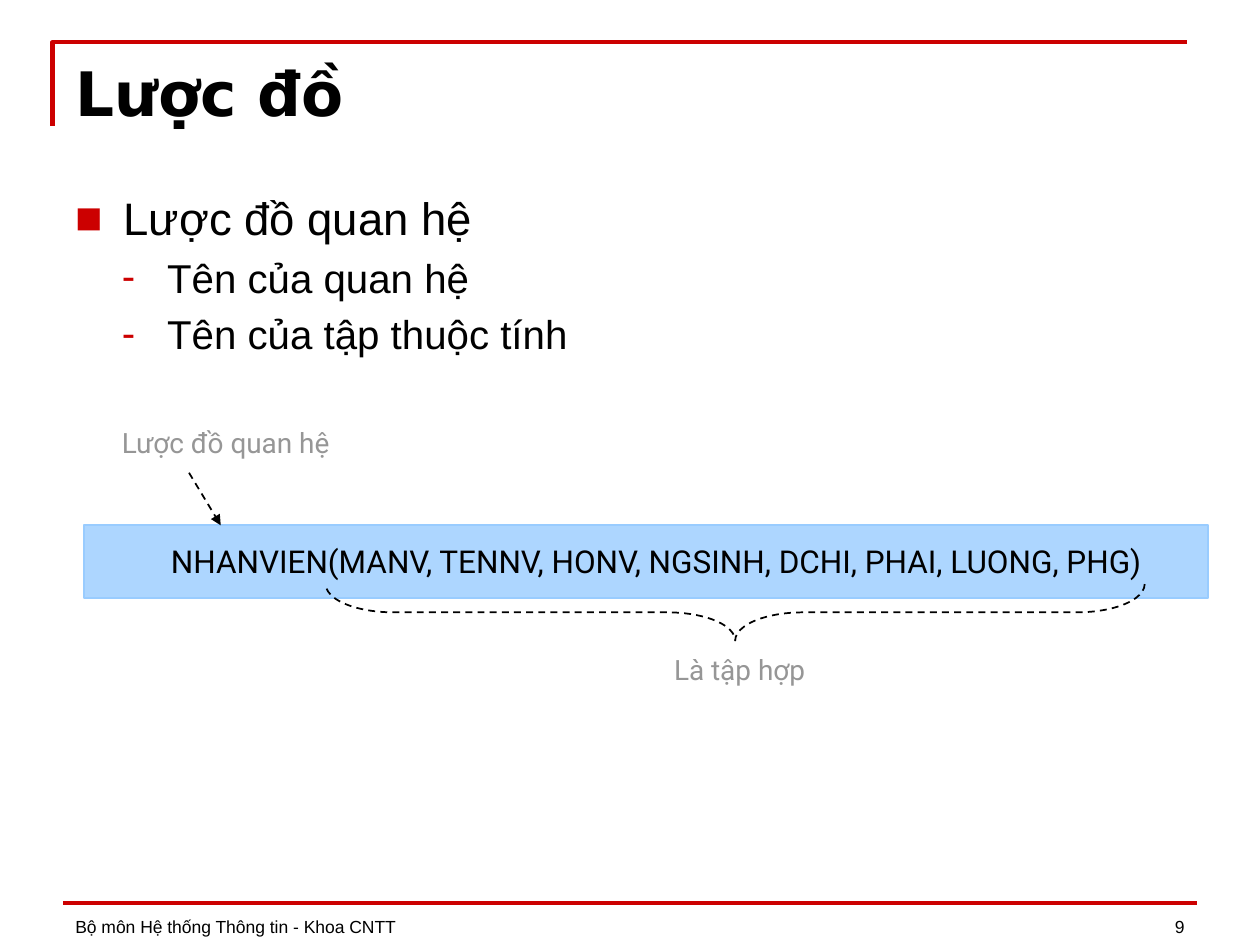
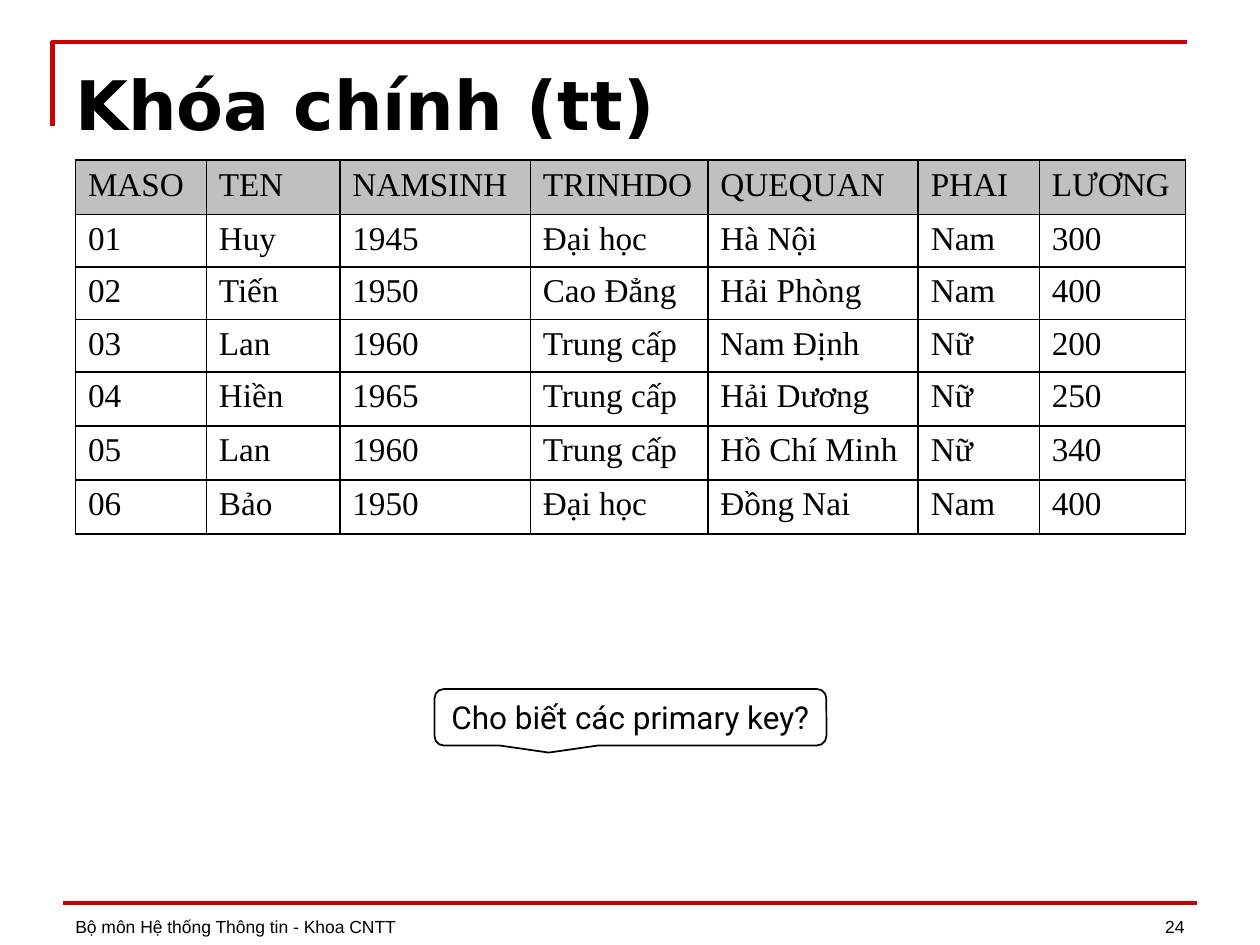
from dataclasses import dataclass

from pptx import Presentation
from pptx.dml.color import RGBColor
from pptx.enum.dml import MSO_LINE
from pptx.enum.shapes import MSO_CONNECTOR, MSO_SHAPE
from pptx.enum.text import MSO_ANCHOR as Anchor, MSO_AUTO_SIZE as AutoSize, PP_ALIGN as Align
from pptx.oxml import parse_xml
from pptx.oxml.ns import nsdecls, qn
from pptx.util import Cm, Pt


@dataclass(frozen=True)
class Theme:
    red: str = "CC0000"
    black: str = "000000"
    grey: str = "969696"
    blue: str = "99CCFF"
    header: str = "C0C0C0"
    title_font: str = "DejaVu Sans"
    body_font: str = "Arial"
    label_font: str = "Roboto"
    table_font: str = "Times New Roman"
    body_sizes: tuple = (26, 23)
    label: int = 16
    emphasis: int = 18
    table: int = 19
    footer: int = 10


THEME = Theme()

FOOTER = "Bộ môn Hệ thống Thông tin - Khoa CNTT"
SCHEMA = {"title": "Lược đồ", "title_size": 35, "title_height": 1.73, "number": "9"}
KEYS = {"title": "Khóa chính (tt)", "title_size": 39, "title_height": 2.18, "number": "24"}

SCHEMA_POINTS = [
    (0, "Lược đồ quan hệ"),
    (1, "Tên của quan hệ"),
    (1, "Tên của tập thuộc tính"),
]
BULLETS = [("■", 0.97, -0.97), ("-", 1.85, -0.91)]
RELATION = "NHANVIEN(MANV, TENNV, HONV, NGSINH, DCHI, PHAI, LUONG, PHG)"
SCHEMA_LABELS = [
    ("Lược đồ quan hệ", (0.64, 8.46, 7.82, 0.94)),
    ("Là tập hợp", (12.27, 13.03, 5.28, 0.94)),
]

EMPLOYEES = [
    ("MASO", "TEN", "NAMSINH", "TRINHDO", "QUEQUAN", "PHAI", "LƯƠNG"),
    ("01", "Huy", "1945", "Đại học", "Hà Nội", "Nam", "300"),
    ("02", "Tiến", "1950", "Cao Đẳng", "Hải Phòng", "Nam", "400"),
    ("03", "Lan", "1960", "Trung cấp", "Nam Định", "Nữ", "200"),
    ("04", "Hiền", "1965", "Trung cấp", "Hải Dương", "Nữ", "250"),
    ("05", "Lan", "1960", "Trung cấp", "Hồ Chí Minh", "Nữ", "340"),
    ("06", "Bảo", "1950", "Đại học", "Đồng Nai", "Nam", "400"),
]
COLUMN_WIDTHS = [2.64, 2.69, 3.84, 3.58, 4.24, 2.44, 2.95]
ROW_HEIGHTS = [1.09] + [0.89] * 3 + [1.09] * 3
QUESTION = "Cho biết các primary key?"


def lengths(box):
    return [Cm(value) for value in box]


def color(code):
    return RGBColor.from_string(code)


def write(paragraph, text, font, size, code=THEME.black, bold=False, align=Align.LEFT):
    paragraph.alignment = align
    run = paragraph.add_run()
    run.text = text
    run.font.name = font
    run.font.size = Pt(size)
    run.font.bold = bold
    run.font.color.rgb = color(code)


def add_text(slide, box, text, font, size, code=THEME.black, align=Align.CENTER, anchor=Anchor.TOP):
    frame = slide.shapes.add_textbox(*lengths(box)).text_frame
    frame.word_wrap = True
    frame.vertical_anchor = anchor
    write(frame.paragraphs[0], text, font, size, code, align=align)


def set_line(shape, code, width, dash=None):
    shape.line.color.rgb = color(code)
    shape.line.width = Pt(width)
    if dash:
        shape.line.dash_style = dash


def add_line(slide, ends, code, width, dash=None):
    line = slide.shapes.add_connector(MSO_CONNECTOR.STRAIGHT, *lengths(ends))
    set_line(line, code, width, dash)
    line._element.spPr.append(parse_xml(f"<a:effectLst {nsdecls('a')}/>"))
    return line


def add_outline(slide, kind, box, code, dash=None):
    shape = slide.shapes.add_shape(kind, *lengths(box))
    shape.shadow.inherit = False
    shape.fill.background()
    set_line(shape, code, 1, dash)
    return shape


def add_frame(slide):
    builder = slide.shapes.build_freeform(Cm(1.06), Cm(2.54))
    builder.add_line_segments([(Cm(1.06), Cm(0.85)), (Cm(23.92), Cm(0.85))], close=False)
    corner = builder.convert_to_shape()
    corner.shadow.inherit = False
    corner.fill.background()
    set_line(corner, THEME.red, 2.5)
    add_line(slide, (1.27, 18.2, 24.13, 18.2), THEME.red, 2)


def add_slide(presentation, content):
    slide = presentation.slides.add_slide(presentation.slide_layouts[5])
    add_frame(slide)
    title = slide.shapes.title
    title.left, title.top, title.width, title.height = lengths(
        (1.27, 0.99, 22.86, content["title_height"]))
    frame = title.text_frame
    frame.auto_size = AutoSize.NONE
    frame.vertical_anchor = Anchor.MIDDLE
    write(frame.paragraphs[0], content["title"], THEME.title_font, content["title_size"], bold=True)
    for text, left, width, align in [
        (FOOTER, 1.27, 15.44, Align.LEFT),
        (content["number"], 18.21, 5.92, Align.RIGHT),
    ]:
        add_text(slide, (left, 17.75, width, 1.27), text, THEME.body_font, THEME.footer,
                 align=align, anchor=Anchor.BOTTOM)
    return slide


def add_bullet(paragraph, level):
    mark, margin, indent = BULLETS[level]
    properties = paragraph._p.get_or_add_pPr()
    properties.set("marL", str(Cm(margin)))
    properties.set("indent", str(Cm(indent)))
    for xml in (
        f'<a:buClr {nsdecls("a")}><a:srgbClr val="{THEME.red}"/></a:buClr>',
        f'<a:buFont {nsdecls("a")} typeface="{THEME.body_font}"/>',
        f'<a:buChar {nsdecls("a")} char="{mark}"/>',
    ):
        properties.append(parse_xml(xml))


def add_points(slide):
    frame = slide.shapes.add_textbox(*lengths((1.27, 3.71, 22.86, 13.3))).text_frame
    frame.word_wrap = True
    for index, (level, text) in enumerate(SCHEMA_POINTS):
        paragraph = frame.add_paragraph() if index else frame.paragraphs[0]
        size = THEME.body_sizes[level]
        paragraph.level = level
        add_bullet(paragraph, level)
        if index:
            paragraph.space_before = Pt(size * 0.2)
        write(paragraph, text, THEME.body_font, size, align=Align.JUSTIFY)


def add_relation(slide):
    band = add_outline(slide, MSO_SHAPE.RECTANGLE, (1.7, 10.59, 22.66, 1.47), THEME.blue)
    band.fill.solid()
    band.fill.fore_color.rgb = color(THEME.blue)
    fill = band._element.spPr.find(qn("a:solidFill"))
    fill[0].append(parse_xml(f'<a:alpha {nsdecls("a")} val="80000"/>'))
    add_text(slide, (2.34, 10.8, 21.79, 1.02), RELATION, THEME.label_font, THEME.emphasis)

    arrow = add_line(slide, (3.81, 9.53, 4.45, 10.59), THEME.black, 1, MSO_LINE.DASH)
    arrow.line._get_or_add_ln().append(parse_xml(f'<a:tailEnd {nsdecls("a")} type="triangle"/>'))

    brace = add_outline(slide, MSO_SHAPE.RIGHT_BRACE, (14.25, 4.09, 1.14, 16.51),
                        THEME.black, MSO_LINE.DASH)
    brace.rotation = 90
    brace.adjustments[0] = 1.2
    brace.adjustments[1] = 0.5
    for text, box in SCHEMA_LABELS:
        add_text(slide, box, text, THEME.label_font, THEME.label, THEME.grey)


def add_borders(cell):
    properties = cell._tc.get_or_add_tcPr()
    for side in "LRTB":
        properties.append(parse_xml(
            f'<a:ln{side} {nsdecls("a")} w="{Pt(1)}"><a:solidFill>'
            f'<a:srgbClr val="{THEME.black}"/></a:solidFill></a:ln{side}>'))


def add_employees(slide):
    box = (1.52, 3.23, sum(COLUMN_WIDTHS), sum(ROW_HEIGHTS))
    table = slide.shapes.add_table(len(EMPLOYEES), len(COLUMN_WIDTHS), *lengths(box)).table
    table.first_row = False
    table.horz_banding = False
    for column, width in zip(table.columns, COLUMN_WIDTHS):
        column.width = Cm(width)
    for row_index, (row, height, values) in enumerate(zip(table.rows, ROW_HEIGHTS, EMPLOYEES)):
        row.height = Cm(height)
        for cell, value in zip(row.cells, values):
            add_borders(cell)
            cell.margin_right = Cm(0.1)
            if row_index:
                cell.fill.background()
            else:
                cell.fill.solid()
                cell.fill.fore_color.rgb = color(THEME.header)
            write(cell.text_frame.paragraphs[0], value, THEME.table_font, THEME.table)


def add_question(slide):
    callout = add_outline(slide, MSO_SHAPE.ROUNDED_RECTANGULAR_CALLOUT,
                          (8.76, 13.89, 7.9, 1.14), THEME.black)
    frame = callout.text_frame
    frame.word_wrap = False
    frame.vertical_anchor = Anchor.MIDDLE
    write(frame.paragraphs[0], QUESTION, THEME.label_font, THEME.emphasis, align=Align.CENTER)


def main():
    presentation = Presentation()
    presentation.slide_width = Cm(25.4)
    presentation.slide_height = Cm(19.05)
    schema_slide = add_slide(presentation, SCHEMA)
    add_points(schema_slide)
    add_relation(schema_slide)
    keys_slide = add_slide(presentation, KEYS)
    add_employees(keys_slide)
    add_question(keys_slide)
    presentation.save("out.pptx")


if __name__ == "__main__":
    main()
